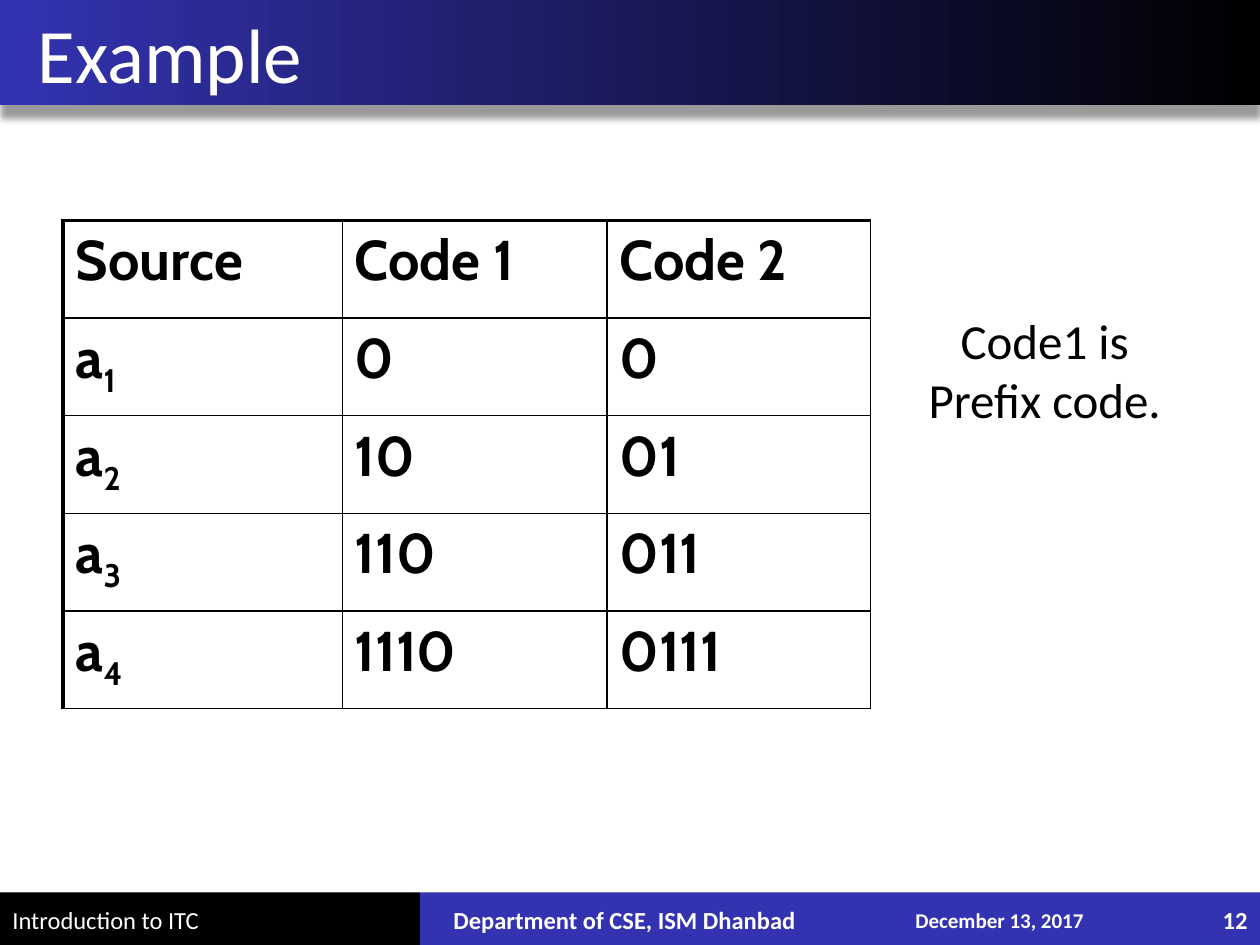
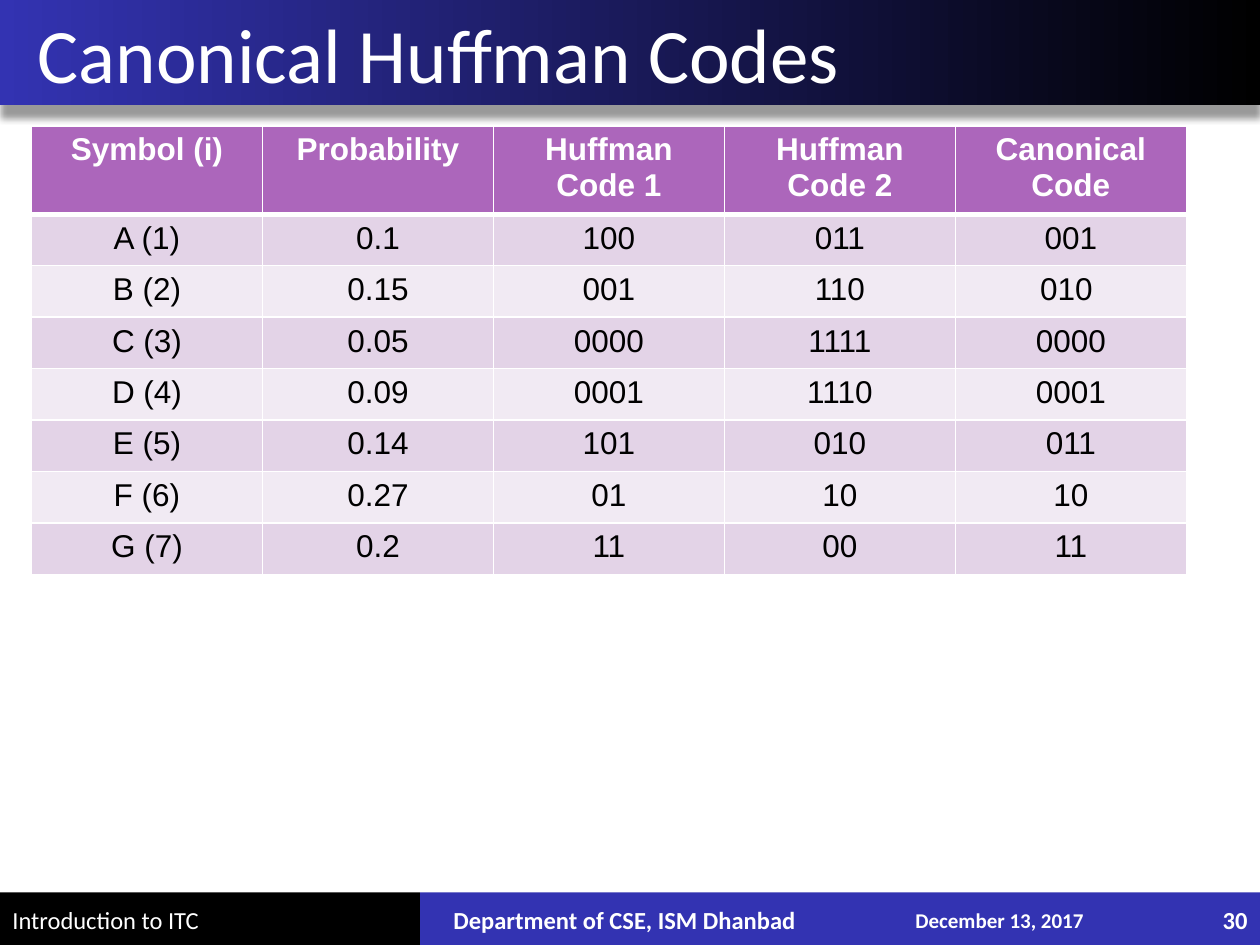
from dataclasses import dataclass

from lxml import etree
from pptx import Presentation
from pptx import util as u
from pptx.dml.color import RGBColor
from pptx.enum import shapes, text
from pptx.oxml import ns


@dataclass(frozen=True)
class Theme:
    blue: str = "3333B2"
    black: str = "000000"
    white: str = "FFFFFF"
    header: str = "AC66BB"
    bands: tuple = ("E3D3E7", "F1EAF3")
    font: str = "Calibri"
    code_font: str = "Cabin"
    table_font: str = "Arial"
    title: int = 44
    code: int = 32
    note: int = 28
    table: int = 18
    footer: int = 14
    date: int = 12


THEME = Theme()
LEFT, CENTER, RIGHT = (text.PP_ALIGN.LEFT, text.PP_ALIGN.CENTER, text.PP_ALIGN.RIGHT)

# Content. An underscore marks a subscript.
PREFIX_CODES = [
    ("Source", "Code 1", "Code 2"),
    ("a_1", "0", "0"),
    ("a_2", "10", "01"),
    ("a_3", "110", "011"),
    ("a_4", "1110", "0111"),
]
NOTE = "Code1 is Prefix code."
CANONICAL_CODES = [
    ("Symbol (i)", "Probability", "Huffman Code 1", "Huffman Code 2", "Canonical Code"),
    ("A (1)", "0.1", "100", "011", "001"),
    ("B (2)", "0.15", "001", "110", "010 "),
    ("C (3)", "0.05", "0000", "1111", "0000"),
    ("D (4)", "0.09", "0001", "1110", "0001"),
    ("E (5)", "0.14", "101", "010", "011"),
    ("F (6)", "0.27", "01", "10", "10"),
    ("G (7)", "0.2", "11", "00", "11"),
]
# Footer: text, first column, columns wide, size, bold, alignment
FOOTER = [
    ("Introduction to ITC", 0, 4.2, THEME.footer, False, LEFT),
    ("December 13, 2017", 8.6, 2.2, THEME.date, True, LEFT),
    ("Department of CSE, ISM Dhanbad", 4.2, 4.3, THEME.footer, True, LEFT),
]

# The slide is a square grid, 12 columns wide and 9 rows high.
WIDTH, HEIGHT = u.Inches(10), u.Inches(7.5)
COLUMNS, ROWS = 12, 9
BAR_ROWS = 0.5


def grid(*cells):
    return [round(WIDTH * cell / COLUMNS) for cell in cells]


def color(value):
    return RGBColor.from_string(value)


def write(para, words, size, ink, font=THEME.font, bold=False, align=LEFT):
    """Write words into a paragraph; what follows an underscore is lowered."""
    para.alignment = align
    for index, part in enumerate(words.split("_")):
        span = para.add_run()
        span.text = part
        look = {"name": font, "size": u.Pt(size), "bold": bold}
        for name, value in look.items():
            setattr(span.font, name, value)
        span.font.color.rgb = color(ink)
        if index:
            span.font._element.set("baseline", "-25000")


def add_text(page, place, words, size, ink, anchor=text.MSO_ANCHOR.MIDDLE, **look):
    frame = page.shapes.add_textbox(*grid(*place)).text_frame
    frame.word_wrap = True
    frame.vertical_anchor = anchor
    write(frame.paragraphs[0], words, size, ink, **look)
    return frame


def add_band(page, place, fill=None):
    band = page.shapes.add_shape(shapes.MSO_SHAPE.RECTANGLE, *grid(*place))
    band.shadow.inherit = False
    band.line.fill.background()
    if fill:
        band.fill.solid()
        band.fill.fore_color.rgb = color(fill)
    return band


def add_title_band(page):
    band = add_band(page, (0, 0, COLUMNS, 1))
    band.fill.gradient()
    band.fill.gradient_angle = 180
    for stop, ink in zip(band.fill.gradient_stops, (THEME.black, THEME.blue)):
        stop.color.rgb = color(ink)
    effects = band._element.spPr.find(ns.qn("a:effectLst"))
    shadow = etree.SubElement(
        effects, ns.qn("a:outerShdw"), blurRad=str(u.Pt(4)), dist=str(u.Pt(7)),
        dir="5400000", algn="t", rotWithShape="0")
    ink = etree.SubElement(shadow, ns.qn("a:srgbClr"), val=THEME.black)
    etree.SubElement(ink, ns.qn("a:alpha"), val="40000")


def add_page(deck, title, number):
    page = deck.slides.add_slide(deck.slide_layouts[6])
    bar_top = ROWS - BAR_ROWS
    add_band(page, (4, bar_top, 8, BAR_ROWS), THEME.blue)
    add_band(page, (0, bar_top, 4, BAR_ROWS), THEME.black)
    add_title_band(page)
    heading = add_text(page, (0, 0, 11.7, 1), title, THEME.title, THEME.white)
    heading.margin_left = u.Inches(0.3)
    page_number = (str(number), 10.9, 1.1, THEME.footer, True, RIGHT)
    for words, column, span, size, bold, align in FOOTER + [page_number]:
        add_text(page, (column, bar_top + 0.02, span, BAR_ROWS - 0.02), words,
                 size, THEME.white, bold=bold, align=align)
    return page


def set_borders(cell, ink, weights):
    """Give the cell solid borders; weights are points for L, R, T and B."""
    properties = cell._tc.get_or_add_tcPr()
    for side, weight in zip("LRTB", weights):
        line = etree.SubElement(properties, ns.qn(f"a:ln{side}"), w=str(u.Pt(weight)))
        fill = etree.SubElement(line, ns.qn("a:solidFill"))
        etree.SubElement(fill, ns.qn("a:srgbClr"), val=ink)


def add_grid_table(page, rows, corner, widths, heights, style):
    """Add a table; style(row, column) gives fill, border ink, weights and text look."""
    frame = page.shapes.add_table(
        len(rows), len(widths), *grid(*corner, sum(widths), sum(heights)))
    table = frame.table
    table.first_row = table.horz_banding = False
    for column, width in zip(table.columns, grid(*widths)):
        column.width = width
    for row, height in zip(table.rows, grid(*heights)):
        row.height = height
    for r, values in enumerate(rows):
        for c, words in enumerate(values):
            cell = table.cell(r, c)
            fill, ink, weights, look = style(r, c)
            set_borders(cell, ink, weights)
            if fill:
                cell.fill.solid()
                cell.fill.fore_color.rgb = color(fill)
            else:
                cell.fill.background()
            write(cell.text_frame.paragraphs[0], words, **look)
    return table


def prefix_style(row, column):
    weights = (1 if column else 2.25, 1, 1 if row else 2.25, 1)
    look = {"size": THEME.code, "ink": THEME.black, "font": THEME.code_font, "bold": True}
    return None, THEME.black, weights, look


def canonical_style(row, column):
    is_header = row == 0
    fill = THEME.header if is_header else THEME.bands[(row - 1) % 2]
    weights = (1, 1, 3 if row == 1 else 1, 3 if is_header else 1)
    look = {"size": THEME.table, "ink": THEME.white if is_header else THEME.black,
            "font": THEME.table_font, "bold": is_header, "align": CENTER}
    return fill, THEME.white, weights, look


def add_example(deck):
    page = add_page(deck, "Example", 12)
    table = add_grid_table(page, PREFIX_CODES, (0.6, 2.1), (2.66, 2.52, 2.51),
                           [0.93] * len(PREFIX_CODES), prefix_style)
    for cell in table.iter_cells():
        cell.text_frame.paragraphs[0].space_before = u.Pt(0.2 * THEME.code)
    add_text(page, (8.5, 2.9, 2.9, 1.62), NOTE, THEME.note, THEME.black,
             anchor=text.MSO_ANCHOR.TOP, align=CENTER)


def add_canonical(deck):
    page = add_page(deck, "Canonical Huffman Codes", 30)
    heights = [0.83] + [0.49] * (len(CANONICAL_CODES) - 1)
    add_grid_table(page, CANONICAL_CODES, (0.3, 1.2), [2.2] * 5, heights,
                   canonical_style)


def main():
    deck = Presentation()
    deck.slide_width, deck.slide_height = WIDTH, HEIGHT
    add_example(deck)
    add_canonical(deck)
    deck.save("out.pptx")


if __name__ == "__main__":
    main()
